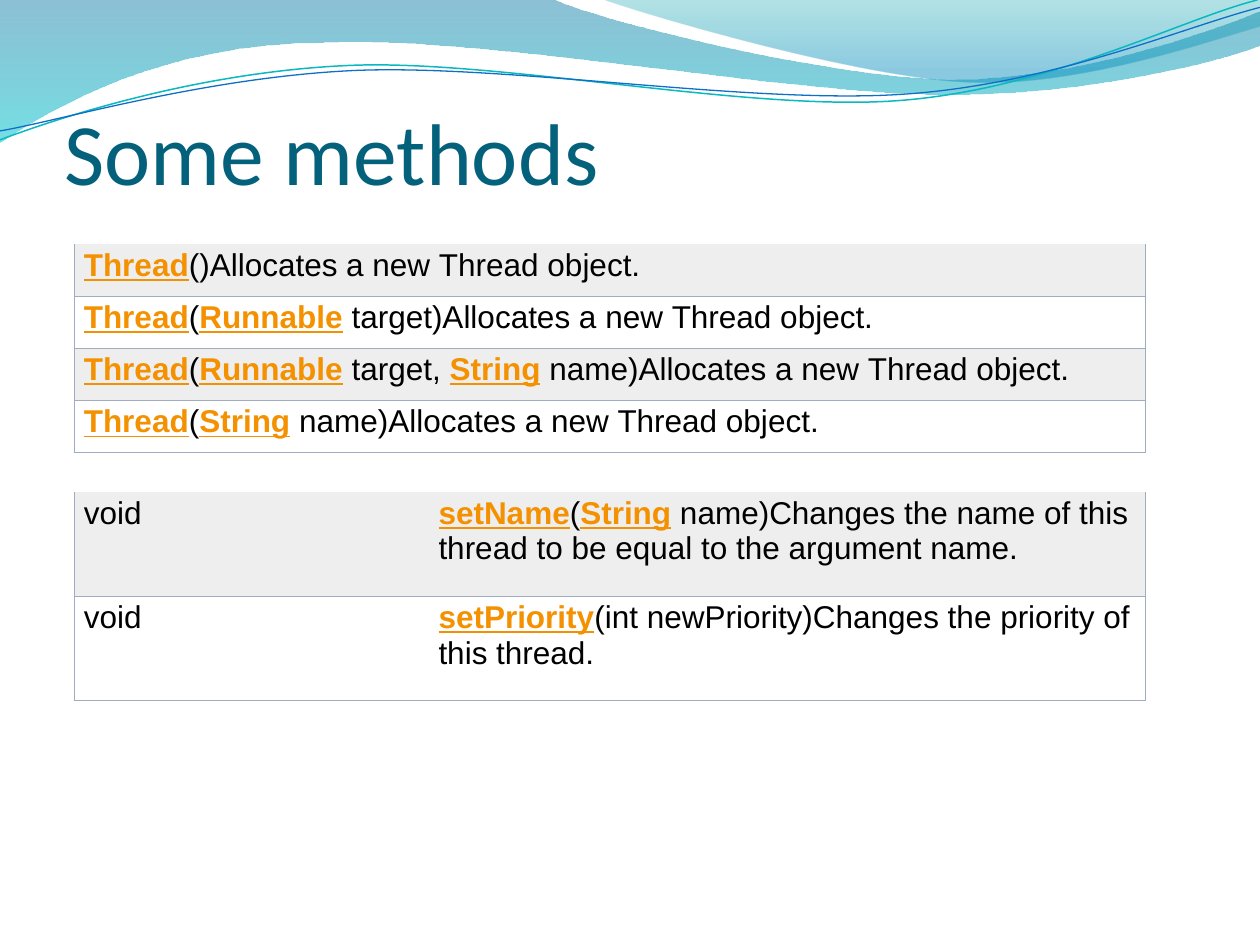
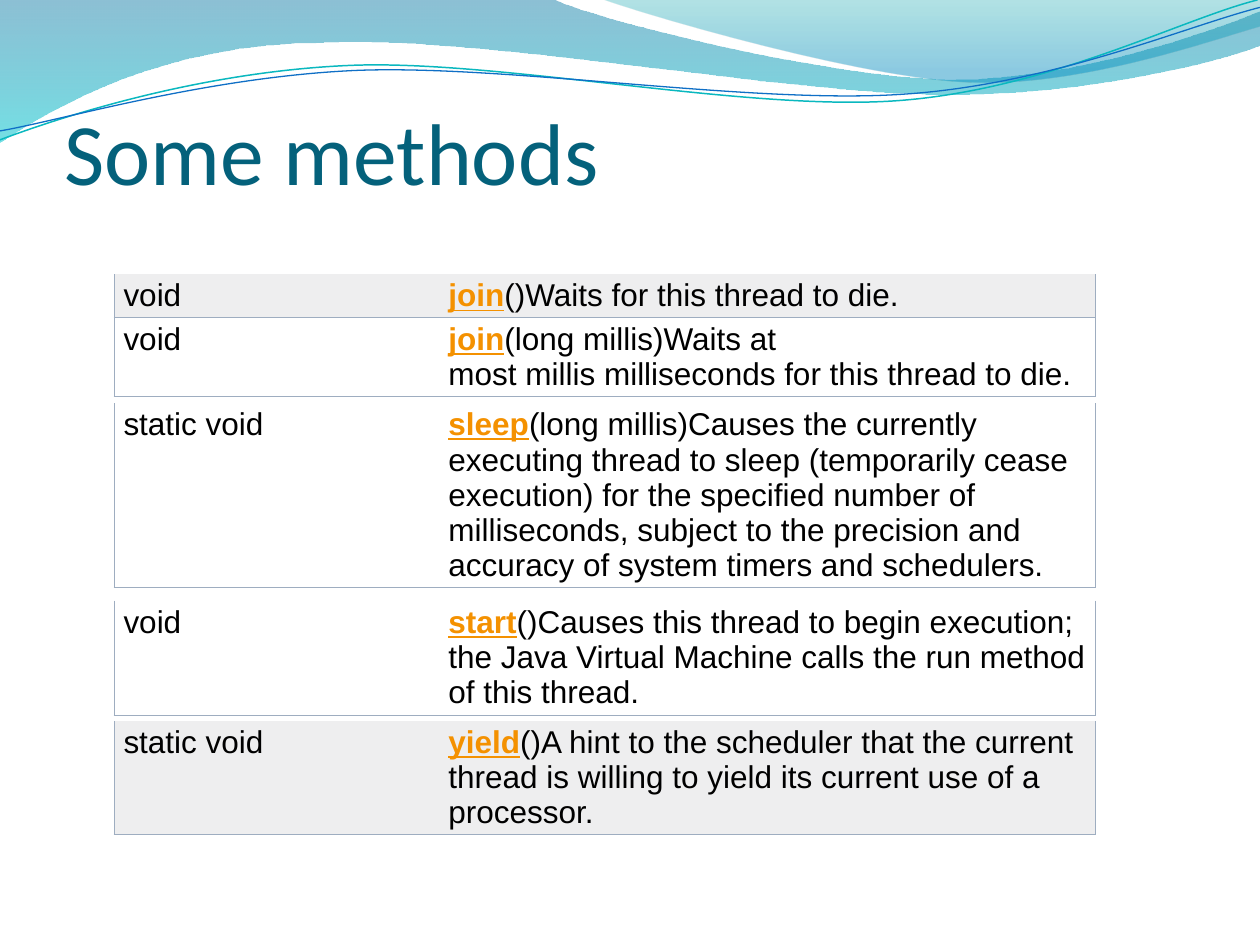
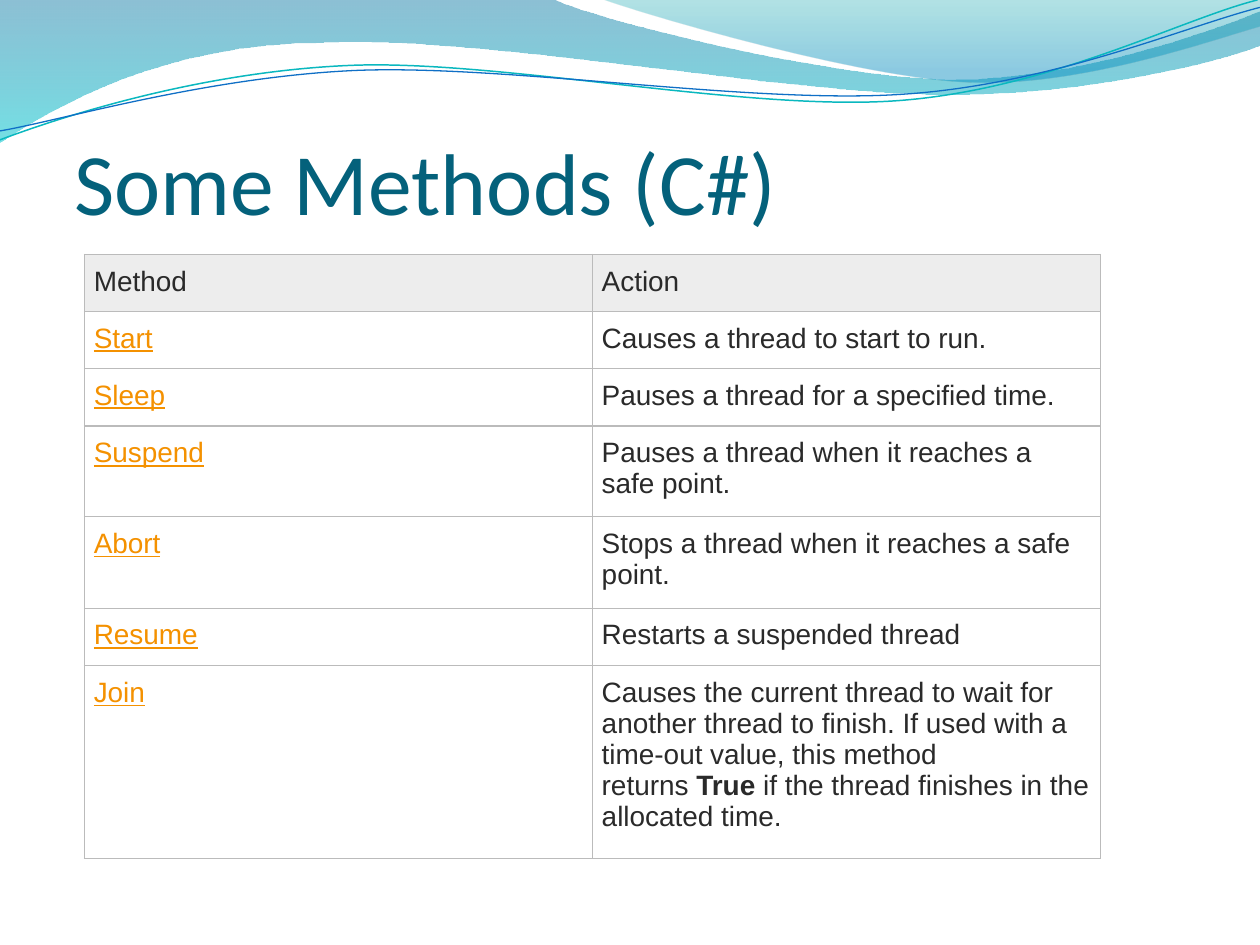
import pptx
import pptx.util
import pptx.dml.color
import pptx.enum.text
import pptx.oxml.ns
from lxml import etree

Cm, Pt = pptx.util.Cm, pptx.util.Pt
RGB = pptx.dml.color.RGBColor.from_string
qn = pptx.oxml.ns.qn

THEME = {
    "title": {"name": "Calibri", "size": Pt(50), "color": "04617B"},
    "api": {
        "text": {"name": "Arial", "size": Pt(18), "color": "000000", "bold": False},
        "marked": [{"color": "F49100", "bold": True, "underline": True}] * 2,
        "shade": "EEEEEF", "plain": "FFFFFF", "border": "9EADC0", "grid": False,
        "margins": (0.19, 0.08, 0.08, 0.08),
    },
    "actions": {
        "text": {"name": "Arial", "size": Pt(16), "color": "2A2A2A", "bold": False},
        "marked": [{"color": "F49100", "underline": True}, {"bold": True}],
        "shade": "EDEDED", "plain": "FFFFFF", "border": "BBBBBB", "grid": True,
        "margins": (0.19, 0.23, 0.19, 0.23),
    },
}
SIDES = ("left", "top", "right", "bottom")
TITLE_SIZE = (22.86, 3.18)
MARK, HARD_SPACE = "|", "~"

BANDS = [
    {"start": (0, 0), "stops": [(0, "0074A1", 45), (1, "00C6CF", 55)],
     "segments": [
         [(11.18, 0)],
         [(12.09, 0.43), (16.87, 1.6), (19.25, 1.6)],
         [(21.67, 1.6), (24.33, 0.66), (25.4, 0.23)],
         [(25.4, 0.91)],
         [(24.97, 1.12), (22.1, 1.93), (18.95, 1.9)],
         [(15.8, 1.9), (9.7, 0.71), (6.53, 0.86)],
         [(3.28, 0.89), (1.17, 2.11), (0, 2.87)]]},
    {"start": (12.17, 0), "stops": [(0, "00A1A9", 30), (0.8, "008BBF", 45)],
     "segments": [
         [(12.93, 0.28), (17.32, 1.57), (19.53, 1.65)],
         [(21.74, 1.75), (24.41, 0.81), (25.4, 0.53)],
         [(25.4, 0)]]},
    {"start": (0, 2.82), "line": ("0AB8BF", 0.85),
     "segments": [
         [(1.22, 2.36), (4.01, 1.45), (7.04, 1.32)],
         [(10.03, 1.19), (15.06, 2.26), (18.11, 2.03)],
         [(21.16, 1.8), (23.83, 0.38), (25.35, 0)]]},
    {"start": (0, 2.64), "line": ("0F6FC6", 0.75),
     "segments": [
         [(1.19, 2.44), (4.17, 1.55), (7.19, 1.42)],
         [(10.24, 1.3), (15.16, 2.11), (18.21, 1.9)],
         [(21.23, 1.7), (23.9, 0.53), (25.4, 0.15)]]},
]

WAITING = {"style": "api", "left": 2.3, "cols": (6.55, 13.24)}
SLIDES = [
    {"title": "Some methods", "at": (1.3, 0.91), "tables": [
        {"style": "api", "left": 1.5, "top": 4.92, "cols": (21.6,),
         "heights": (1.05,) * 4, "shaded": (0, 2), "rows": [
             ["|Thread|()Allocates a new~Thread~object."],
             ["|Thread|(|Runnable|~target)Allocates a new~Thread~object."],
             ["|Thread|(|Runnable|~target,~|String|~name)Allocates a new~Thread~object."],
             ["|Thread|(|String|~name)Allocates a new~Thread~object."]]},
        {"style": "api", "left": 1.5, "top": 9.92, "cols": (7.15, 14.45),
         "heights": (2.1,) * 2, "shaded": (0,), "rows": [
             ["void", "|setName|(|String|~name)Changes the name of this thread "
                      "to be equal to the argument~name."],
             ["void", "|setPriority|(int~newPriority)Changes the priority of this thread."]]}]},
    {"title": "Some methods", "at": (1.3, 0.91), "tables": [
        {**WAITING, "top": 14.53, "heights": (2.29,), "shaded": (0,), "rows": [
            ["static void", "|yield|()A hint to the scheduler that the current thread is willing "
                            "to yield its current use of a processor."]]},
        {**WAITING, "top": 12.11, "heights": (2.31,), "shaded": (), "rows": [
            ["void", "|start|()Causes this thread to begin execution; the Java Virtual Machine "
                     "calls the~run~method of this thread."]]},
        {**WAITING, "top": 8.13, "heights": (3.71,), "shaded": (), "rows": [
            ["static void", "|sleep|(long~millis)Causes the currently executing thread to sleep "
                            "(temporarily cease execution) for the specified number of "
                            "milliseconds, subject to the precision and accuracy of system "
                            "timers and schedulers."]]},
        {**WAITING, "top": 5.53, "heights": (0.87, 1.55), "shaded": (0,), "rows": [
            ["void", "|join|()Waits for this thread to die."],
            ["void", "|join|(long~millis)Waits at most~millis~milliseconds "
                     "for this thread to die."]]}]},
    {"title": "Some Methods (C#)", "at": (1.5, 1.52), "tables": [
        {"style": "actions", "left": 1.7, "top": 5.13, "cols": (10.24, 10.24),
         "heights": (1.15, 1.15, 1.16, 1.83, 1.84, 1.16, 3.88), "shaded": (0,), "rows": [
             ["Method", "Action"],
             ["|Start|~", "Causes a thread to start to run."],
             ["|Sleep|~", "Pauses a thread for a specified time."],
             ["|Suspend|~", "Pauses a thread when it reaches a safe point."],
             ["|Abort|~", "Stops a thread when it reaches a safe point."],
             ["|Resume|~", "Restarts a suspended thread"],
             ["|Join|~", "Causes the current thread to wait for another thread to finish. "
                         "If used with a time-out value, this method returns~|True|~if the "
                         "thread finishes in the allocated time."]]}]},
]


def set_all(obj, values):
    for name, value in values.items():
        setattr(obj, name, value)


def format_font(font, style):
    set_all(font, {k: v for k, v in style.items() if k != "color"})
    font.color.rgb = RGB(style["color"])


def bend(sp, segments):
    lines = iter(list(sp.element.iter(qn("a:lnTo"))))
    for segment in segments:
        first, *rest = [next(lines) for _ in segment]
        if rest:
            first.tag = qn("a:cubicBezTo")
            for line in rest:
                first.append(line[0])
                line.getparent().remove(line)


def add_band(shapes, band):
    points = [band["start"], *sum(band["segments"], [])]
    first, *rest = [(Cm(x), Cm(y)) for x, y in points]
    builder = shapes.build_freeform(*first)
    builder.add_line_segments(rest, close=False)
    sp = builder.convert_to_shape()
    bend(sp, band["segments"])
    sp.shadow.inherit = False
    if "line" in band:
        color, width = band["line"]
        sp.fill.background()
        sp.line.color.rgb = RGB(color)
        sp.line.width = Pt(width)
        return sp
    sp.line.fill.background()
    sp.fill.gradient()
    sp.fill.gradient_angle = 270
    for stop, (position, color, _) in zip(sp.fill.gradient_stops, band["stops"]):
        stop.position = position
        stop.color.rgb = RGB(color)
    for clr, (_, _, opacity) in zip(sp.element.iter(qn("a:srgbClr")), band["stops"]):
        etree.SubElement(clr, qn("a:alpha"), val=str(opacity * 1000))
    return sp


def add_title(s, text, at):
    sp = s.shapes.title
    set_all(sp, dict(zip(("left", "top", "width", "height"), map(Cm, at + TITLE_SIZE))))
    tf = sp.text_frame
    set_all(tf, {"margin_left": 0, "margin_top": Cm(0.13), "margin_right": 0,
                 "margin_bottom": 0, "word_wrap": True,
                 "auto_size": pptx.enum.text.MSO_AUTO_SIZE.NONE,
                 "vertical_anchor": pptx.enum.text.MSO_ANCHOR.BOTTOM})
    p = tf.paragraphs[0]
    p.alignment = pptx.enum.text.PP_ALIGN.LEFT
    r = p.add_run()
    r.text = text
    format_font(r.font, THEME["title"])


def set_borders(cell, color, edges):
    tcPr = cell._tc.get_or_add_tcPr()
    for edge, shown in edges.items():
        ln = etree.SubElement(tcPr, qn("a:ln" + edge), w=str(Pt(0.75)))
        if shown:
            fill = etree.SubElement(ln, qn("a:solidFill"))
            etree.SubElement(fill, qn("a:srgbClr"), val=color)
        else:
            etree.SubElement(ln, qn("a:noFill"))


def fill_cell(cell, text, style, marked):
    set_all(cell, {f"margin_{side}": Cm(m) for side, m in zip(SIDES, style["margins"])})
    p = cell.text_frame.paragraphs[0]
    for i, part in enumerate(text.replace(HARD_SPACE, chr(160)).split(MARK)):
        if part:
            r = p.add_run()
            r.text = part
            format_font(r.font, {**style["text"], **(marked if i % 2 else {})})


def add_table(s, data):
    style, rows, cols = THEME[data["style"]], data["rows"], data["cols"]
    box = (data["left"], data["top"], sum(cols), sum(data["heights"]))
    table = s.shapes.add_table(len(rows), len(cols), *map(Cm, box)).table
    set_all(table, {"first_row": False, "horz_banding": False})
    for col, width in zip(table.columns, cols):
        col.width = Cm(width)
    for y, (row, height) in enumerate(zip(rows, data["heights"])):
        table.rows[y].height = Cm(height)
        for x, text in enumerate(row):
            cell, grid = table.cell(y, x), style["grid"]
            set_borders(cell, style["border"], {
                "L": grid or x == 0, "R": grid or x == len(cols) - 1,
                "T": grid or y > 0, "B": True})
            cell.fill.solid()
            cell.fill.fore_color.rgb = RGB(style["shade" if y in data["shaded"] else "plain"])
            fill_cell(cell, text, style, style["marked"][x])


def main():
    prs = pptx.Presentation()
    set_all(prs, {"slide_width": Cm(25.4), "slide_height": Cm(19.05)})
    layout = prs.slide_layouts[5]
    for data in SLIDES:
        s = prs.slides.add_slide(layout)
        add_title(s, data["title"], data["at"])
        for table in data["tables"]:
            add_table(s, table)
    for i, band in enumerate(BANDS):
        layout.shapes.element.insert(2 + i, add_band(s.shapes, band).element)
    prs.save("out.pptx")


if __name__ == "__main__":
    main()
